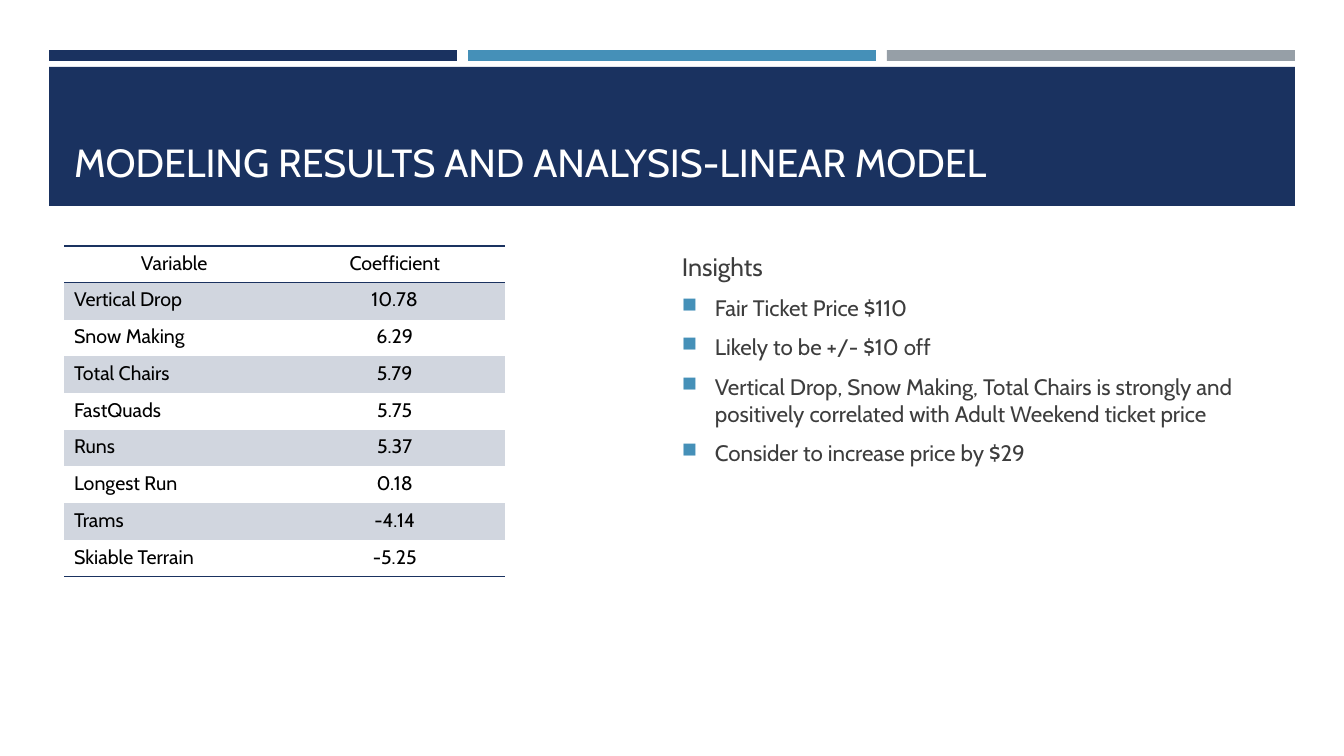
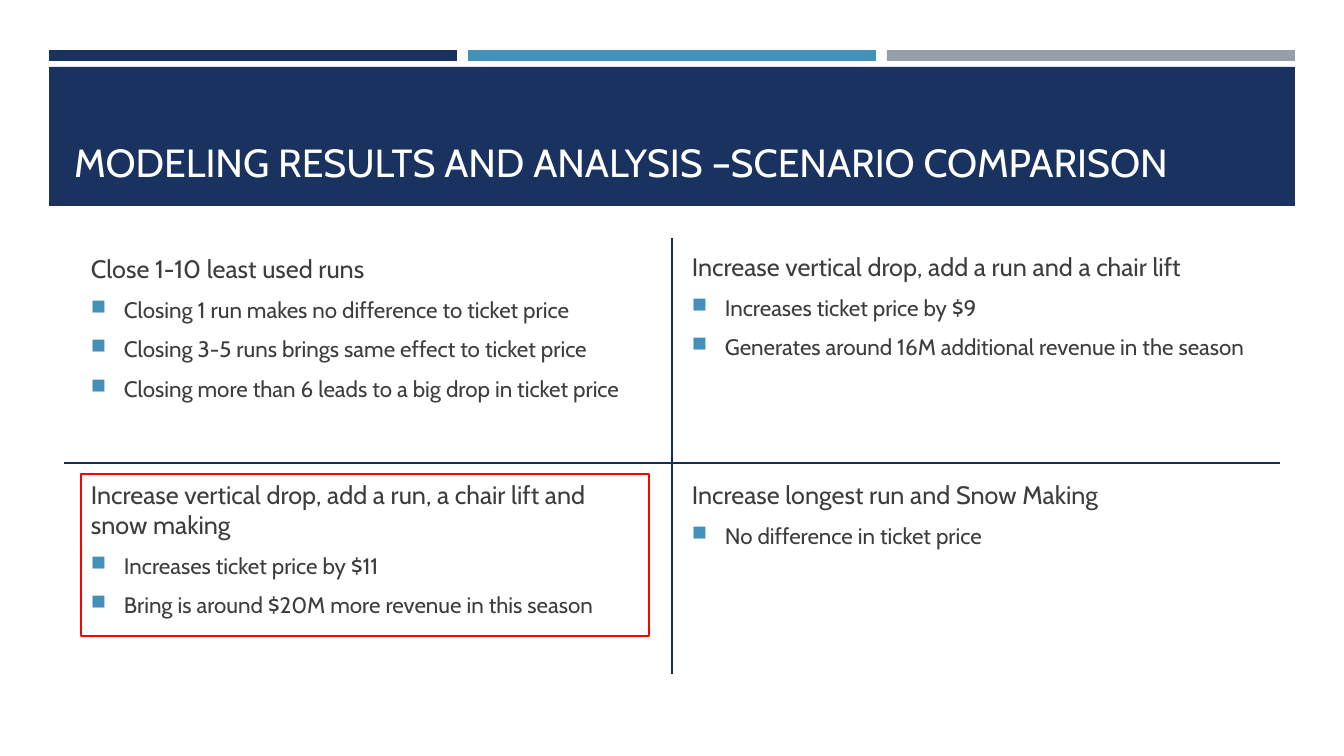
from lxml.etree import SubElement
from pptx import Presentation
from pptx.dml.color import RGBColor
from pptx.enum.shapes import MSO_CONNECTOR, MSO_SHAPE
from pptx.enum.text import MSO_ANCHOR, MSO_AUTO_SIZE, PP_ALIGN
from pptx.oxml.ns import qn
from pptx.util import Pt

PIXEL = 914400 / 100.8
FONT = "Cabin"
COLORS = {
    "navy": "1A3260",
    "blue": "4590B8",
    "gray": "969FA7",
    "divider": "172D56",
    "stripe": "D1D6DF",
    "highlight": "FF0000",
    "text": "3D3D3D",
    "black": "000000",
    "white": "FFFFFF",
}
NO_STYLE_NO_GRID = "{2D5ABB26-0587-4C30-8999-92F81FD0307C}"
BAND = (49, 67, 1246, 139)
TITLE = (64, 81, 1216, 109)
STRIP_TOP, STRIP_WIDTH, STRIP_HEIGHT = 50, 408, 11
INDENT = 33


def emu(*pixels):
    """Turn pixel lengths into EMU."""
    return [round(pixel * PIXEL) for pixel in pixels]


def color(name):
    """Look up a named colour."""
    return RGBColor.from_string(COLORS[name])


def set_font(paragraph, size, color_name):
    """Format all the text of a paragraph."""
    paragraph.font.name = FONT
    paragraph.font.size = Pt(size)
    paragraph.font.color.rgb = color(color_name)


def add_block(slide, box, color_name):
    """Draw a plain filled rectangle."""
    shape = slide.shapes.add_shape(MSO_SHAPE.RECTANGLE, *emu(*box))
    shape.shadow.inherit = False
    shape.fill.solid()
    shape.fill.fore_color.rgb = color(color_name)
    shape.line.fill.background()


def add_titled_slide(presentation, text):
    """Add a slide with the three strips, the title band and its title."""
    slide = presentation.slides.add_slide(presentation.slide_layouts[5])
    left, _, width, _ = BAND
    step = (width - STRIP_WIDTH) // 2
    for index, name in enumerate(("navy", "blue", "gray")):
        add_block(slide, (left + index * step, STRIP_TOP, STRIP_WIDTH, STRIP_HEIGHT), name)
    add_block(slide, BAND, "navy")

    title = slide.shapes.title
    slide.shapes.element.append(title.element)  # bring in front of the band
    title.left, title.top, title.width, title.height = emu(*TITLE)
    frame = title.text_frame
    frame.text = text
    frame.auto_size = MSO_AUTO_SIZE.NONE
    frame.vertical_anchor = MSO_ANCHOR.BOTTOM
    frame.paragraphs[0].alignment = PP_ALIGN.LEFT
    set_font(frame.paragraphs[0], 28, "white")
    return slide


def add_bullet(paragraph):
    """Give a paragraph a square blue bullet with a hanging indent."""
    properties = paragraph._p.get_or_add_pPr()
    indent = emu(INDENT)[0]
    properties.set("marL", str(indent))
    properties.set("indent", str(-indent))
    bullet_color = SubElement(properties, qn("a:buClr"))
    SubElement(bullet_color, qn("a:srgbClr"), val=COLORS["blue"])
    SubElement(properties, qn("a:buSzPct"), val="92000")
    SubElement(properties, qn("a:buChar"), char="■")


def add_points(slide, box, heading, points, outline=None):
    """Fill a box with a heading and bulleted points, optionally outlined."""
    shape = slide.shapes.add_textbox(*emu(*box))
    if outline:
        shape.line.color.rgb = color(outline)
        shape.line.width = Pt(1)
    frame = shape.text_frame
    frame.word_wrap = True
    for index, text in enumerate([heading, *points]):
        paragraph = frame.add_paragraph() if index else frame.paragraphs[0]
        paragraph.text = text
        if index:
            add_bullet(paragraph)
            paragraph.space_before = Pt(3)
        paragraph.space_after = Pt(6)
        set_font(paragraph, 16 if index else 18, "text")


def add_border(cell, side):
    """Draw a navy line on one side of a cell."""
    line = SubElement(cell._tc.get_or_add_tcPr(), qn(f"a:{side}"), w=str(Pt(1)))
    fill = SubElement(line, qn("a:solidFill"))
    SubElement(fill, qn("a:srgbClr"), val=COLORS["navy"])


def add_coefficient_table(slide, box, rows):
    """Place a striped table whose first row is the header."""
    table = slide.shapes.add_table(len(rows), len(rows[0]), *emu(*box)).table
    table.first_row = table.horz_banding = False
    table._tbl.tblPr.find(qn("a:tableStyleId")).text = NO_STYLE_NO_GRID
    for row_index, row in enumerate(rows):
        for column_index, text in enumerate(row):
            cell = table.cell(row_index, column_index)
            cell.text = text
            paragraph = cell.text_frame.paragraphs[0]
            centered = row_index == 0 or column_index > 0
            paragraph.alignment = PP_ALIGN.CENTER if centered else PP_ALIGN.LEFT
            set_font(paragraph, 14, "black")
            if row_index == 0:
                add_border(cell, "lnT")
            if row_index in (0, len(rows) - 1):
                add_border(cell, "lnB")
            if row_index % 2:
                cell.fill.solid()
                cell.fill.fore_color.rgb = color("stripe")
            else:
                cell.fill.background()


def add_divider(slide, *ends):
    """Draw a thin straight line between two points."""
    connector = slide.shapes.add_connector(MSO_CONNECTOR.STRAIGHT, *emu(*ends))
    connector.line.color.rgb = color("divider")
    connector.line.width = Pt(1)
    SubElement(connector.element.spPr, qn("a:effectLst"))


def build_linear_model(presentation):
    """Build the slide with the coefficients and the insights."""
    slide = add_titled_slide(presentation, "MODELING RESULTS AND ANALYSIS-LINEAR MODEL")
    add_coefficient_table(slide, (64, 246, 441, 331), [
        ("Variable", "Coefficient"),
        ("Vertical Drop", "10.78"),
        ("Snow Making", "6.29"),
        ("Total Chairs", "5.79"),
        ("FastQuads", "5.75"),
        ("Runs", "5.37"),
        ("Longest Run", "0.18"),
        ("Trams", "-4.14"),
        ("Skiable Terrain", "-5.25"),
    ])
    add_points(slide, (672, 246, 598, 400), "Insights", [
        "Fair Ticket Price $110",
        "Likely to be +/- $10 off",
        "Vertical Drop, Snow Making, Total Chairs is strongly and positively "
        "correlated with Adult Weekend ticket price",
        "Consider to increase price by $29",
    ])


def build_scenarios(presentation):
    """Build the slide that compares four scenarios in quadrants."""
    slide = add_titled_slide(
        presentation, "MODELING RESULTS AND ANALYSIS –SCENARIO COMPARISON")
    add_divider(slide, 672, 238, 672, 674)
    add_divider(slide, 1280, 463, 64, 463)
    add_points(slide, (81, 248, 598, 209), "Close 1-10 least used runs", [
        "Closing 1 run makes no difference to ticket price",
        "Closing 3-5 runs brings same effect to ticket price",
        "Closing more than 6 leads to a big drop in ticket price",
    ])
    add_points(slide, (682, 246, 598, 209),
               "Increase vertical drop, add a run and a chair lift", [
        "Increases ticket price by $9",
        "Generates around 16M additional revenue in the season",
    ])
    add_points(slide, (81, 474, 568, 162),
               "Increase vertical drop, add a run, a chair lift and snow making", [
        "Increases ticket price by $11",
        "Bring is around $20M more revenue in this season",
    ], outline="highlight")
    add_points(slide, (682, 474, 598, 209), "Increase longest run and Snow Making", [
        "No difference in ticket price",
    ])


presentation = Presentation()
presentation.slide_width, presentation.slide_height = emu(1344, 756)
build_linear_model(presentation)
build_scenarios(presentation)
presentation.save("out.pptx")
